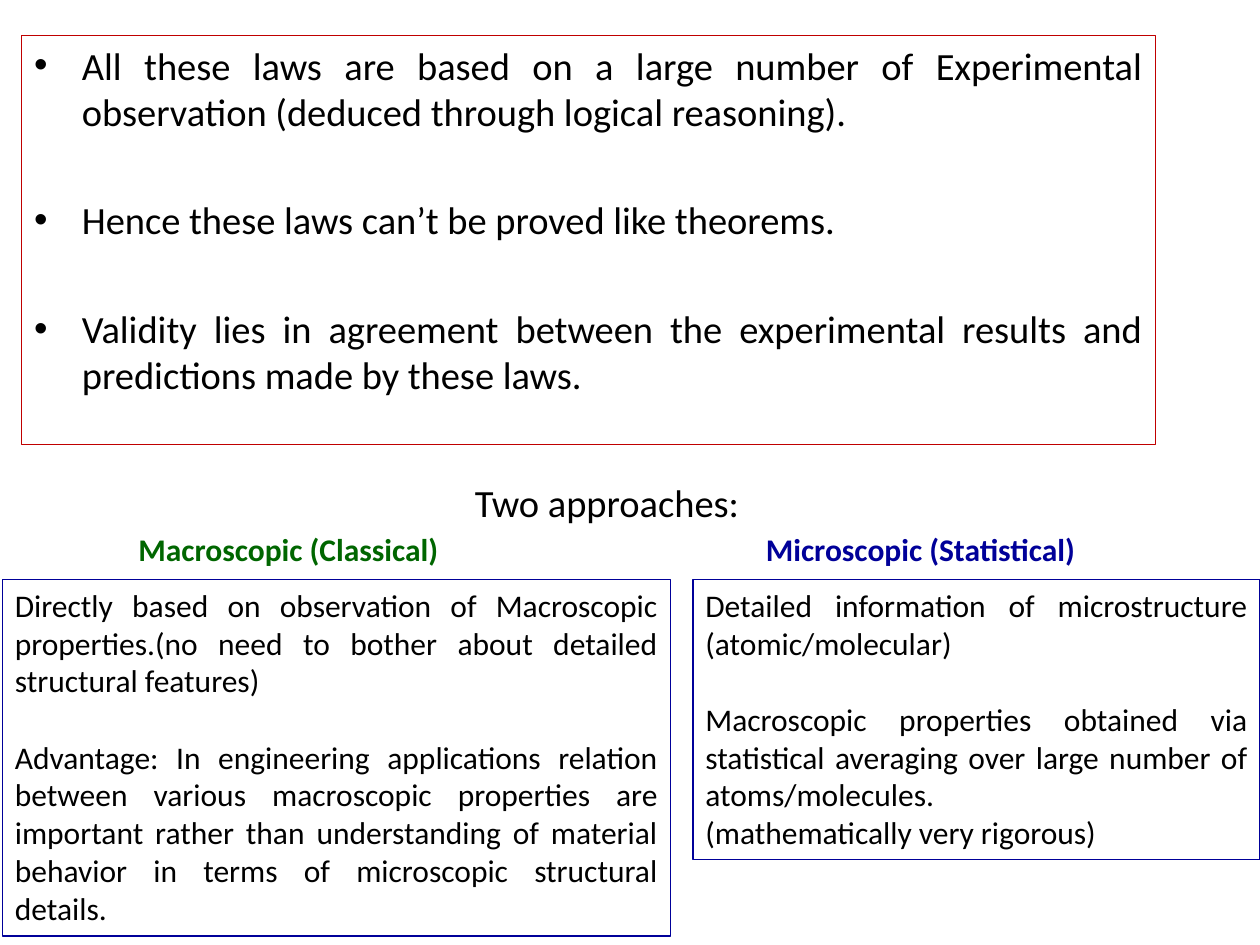
from lxml import etree
from pptx import Presentation
from pptx.dml.color import RGBColor
from pptx.enum.text import MSO_ANCHOR, MSO_AUTO_SIZE, PP_ALIGN
from pptx.oxml.ns import qn
from pptx.util import Inches, Pt

LEFT, JUST = PP_ALIGN.LEFT, PP_ALIGN.JUSTIFY
TOP, FIXED = MSO_ANCHOR.TOP, MSO_AUTO_SIZE.NONE
HUES = {"black": "000000", "red": "C00000", "green": "006600", "blue": "000099"}


def place(shape, left, top, width, height, edge=None):
    """Position a shape and give it an optional thin outline."""
    shape.left, shape.top = Inches(left), Inches(top)
    shape.width, shape.height = Inches(width), Inches(height)
    if edge:
        shape.line.color.rgb = RGBColor.from_string(HUES[edge])
        shape.line.width = Pt(0.75)


def write(shape, lines, size, hue="black", bold=False, align=JUST, bullet=False):
    """Fill a shape with (text, space before in points) paragraphs."""
    frame = shape.text_frame
    setup = {"word_wrap": True, "auto_size": FIXED, "vertical_anchor": TOP}
    for name, value in setup.items():
        setattr(frame, name, value)
    look = {"name": "Calibri", "size": Pt(size), "bold": bold}
    for i, (text, gap) in enumerate(lines):
        para = frame.add_paragraph() if i else frame.paragraphs[0]
        para.alignment = align
        para.space_before = Pt(gap)
        if bullet:
            props = para._p.get_or_add_pPr()
            props.set("marL", str(Inches(0.38)))
            props.set("indent", str(-Inches(0.38)))
            etree.SubElement(props, qn("a:buFont"), typeface="Arial")
            etree.SubElement(props, qn("a:buChar"), char="•")
        run = para.add_run()
        run.text = text
        for name, value in look.items():
            setattr(run.font, name, value)
        run.font.color.rgb = RGBColor.from_string(HUES[hue])


deck = Presentation()
deck.slide_width, deck.slide_height = Inches(10), Inches(7.5)
slide = deck.slides.add_slide(deck.slide_layouts[1])
title, body = slide.placeholders
title.element.getparent().remove(title.element)

laws = [
    ("All these laws are based on a large number of Experimental observation "
     "(deduced through logical reasoning).", 0),
    ("Hence these laws can’t be proved like theorems.", 35.6),
    ("Validity lies in agreement between the experimental results and "
     "predictions made by these laws.", 35.6),
]
place(body, 0.17, 0.28, 9, 3.25, "red")
write(body, laws, 22, bullet=True)

heads = [
    ("Two approaches:", 3.67, 3.75, 3, 0.44, 22, "black", False),
    ("Macroscopic (Classical)", 1, 4.16, 3.5, 0.4, 18, "green", True),
    ("Microscopic (Statistical)", 5.98, 4.16, 3.5, 0.4, 18, "blue", True),
]
for text, left, top, width, height, size, hue, bold in heads:
    box = slide.shapes.add_textbox(0, 0, 0, 0)
    place(box, left, top, width, height)
    write(box, [(text, 0)], size, hue, bold, LEFT)

micro = [
    ("Detailed information of microstructure (atomic/molecular)", 0),
    ("Macroscopic properties obtained via statistical averaging over large "
     "number of atoms/molecules.", 22),
    ("(mathematically very rigorous)", 0),
]
macro = [
    ("Directly based on observation of Macroscopic properties.(no need to "
     "bother about detailed structural features)", 0),
    ("Advantage: In engineering applications relation between various "
     "macroscopic properties are important rather than understanding of "
     "material behavior in terms of microscopic structural details.", 22),
]
for lines, left, width, height in [(micro, 5.5, 4.5, 2.22), (macro, 0.02, 5.3, 2.83)]:
    box = slide.shapes.add_textbox(0, 0, 0, 0)
    place(box, left, 4.6, width, height, "blue")
    write(box, lines, 18)

deck.save("out.pptx")
